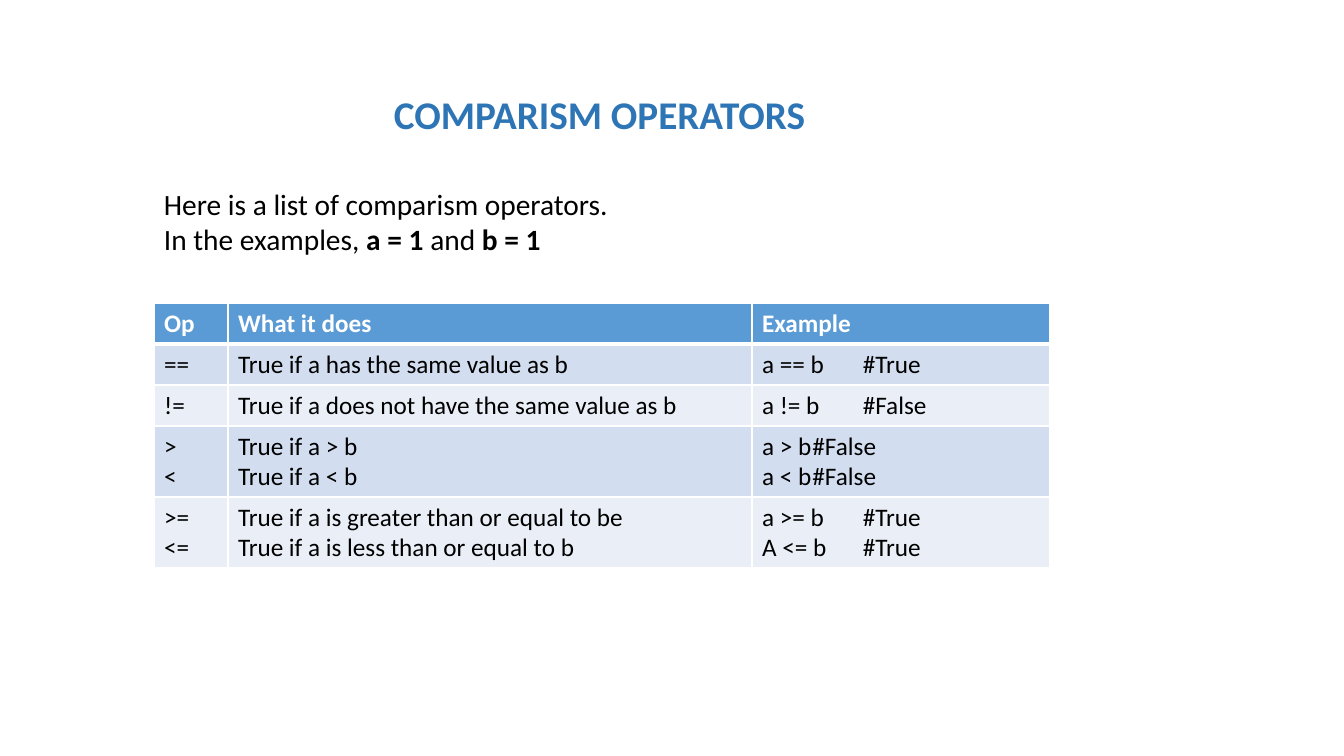
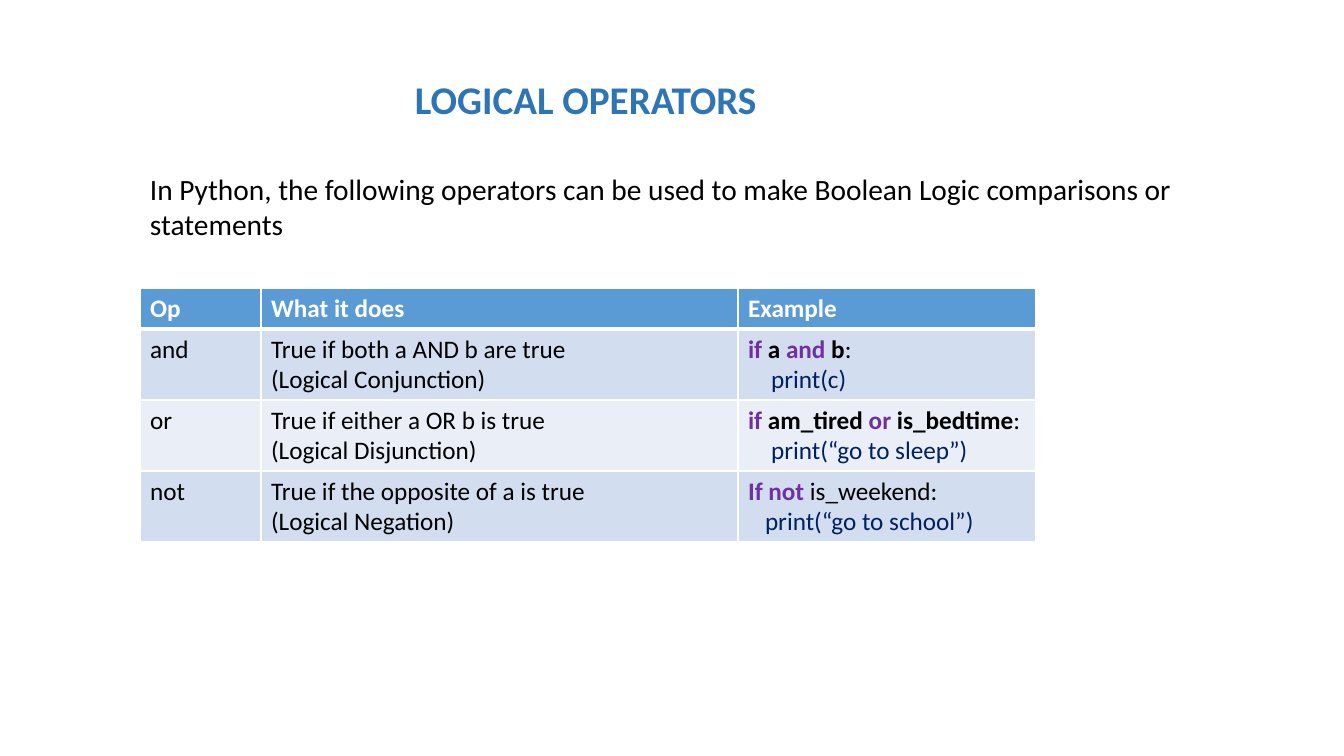
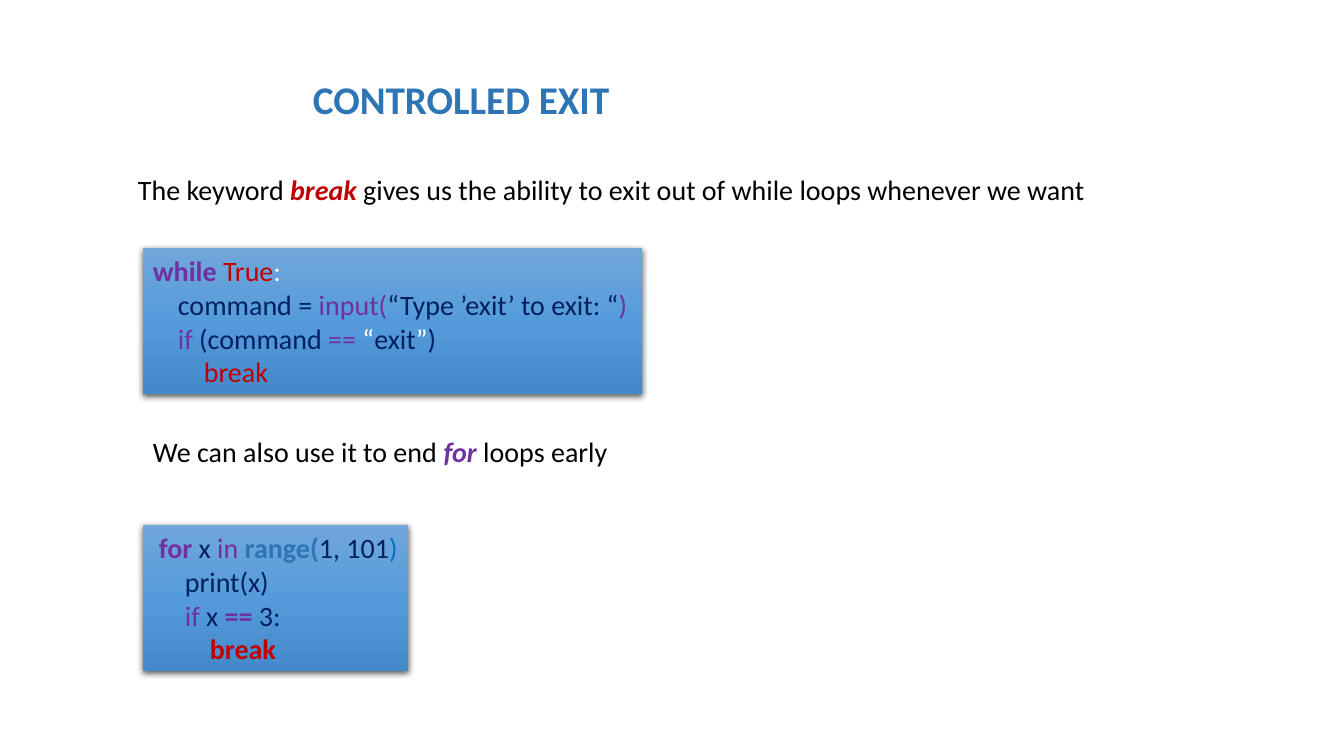
import dataclasses

import copy
import pptx
import pptx.dml.color
import pptx.enum.shapes
import pptx.enum.text
import pptx.oxml
import pptx.oxml.ns
import pptx.util
from lxml import etree

RGBColor = pptx.dml.color.RGBColor
qn = pptx.oxml.ns.qn

EMU_PER_INCH = 914400
PX_PER_INCH = 100.8
FONT = "Calibri"
TITLE_HEIGHT = 57
ROW_HEIGHT = 41
EXTRA_LINE_HEIGHT = 30

BLACK = RGBColor(0x00, 0x00, 0x00)
WHITE = RGBColor(0xFF, 0xFF, 0xFF)
TITLE_BLUE = RGBColor(0x2E, 0x75, 0xB6)
HEADER_BLUE = RGBColor(0x5B, 0x9B, 0xD5)
BAND_DARK = RGBColor(0xD2, 0xDE, 0xEF)
BAND_LIGHT = RGBColor(0xEA, 0xEF, 0xF7)
PURPLE = RGBColor(0x70, 0x30, 0xA0)
NAVY = RGBColor(0x00, 0x20, 0x60)
RED = RGBColor(0xC0, 0x00, 0x00)
BRIGHT_BLUE = RGBColor(0x00, 0x70, 0xC0)
CODE_GRADIENT = [
    (0, RGBColor(0x71, 0xA6, 0xDB)),
    (0.5, RGBColor(0x55, 0x9B, 0xDB)),
    (1, RGBColor(0x44, 0x8A, 0xCA)),
]


@dataclasses.dataclass
class Run:
    text: str
    color: RGBColor = None
    bold: bool = False
    italic: bool = False


@dataclasses.dataclass
class Line:
    """One paragraph; indent and tab stop are in px."""
    runs: list
    indent: int = 0
    tab: int = 0


def px(length):
    return pptx.util.Emu(round(length * EMU_PER_INCH / PX_PER_INCH))


def write_text(text_frame, lines, size, color=BLACK, bold=False):
    """Fill a frame with lines, each a string or a Line of strings and Runs."""
    for index, line in enumerate(lines):
        if isinstance(line, str):
            line = Line([line])
        paragraph = text_frame.paragraphs[0] if index == 0 else text_frame.add_paragraph()
        properties = paragraph._p.get_or_add_pPr()
        properties.set("marL", str(px(line.indent)))
        properties.set("indent", "0")
        if line.tab:
            tab_list = etree.SubElement(properties, qn("a:tabLst"))
            etree.SubElement(tab_list, qn("a:tab"), pos=str(px(line.tab)), algn="l")
        for part in line.runs:
            if isinstance(part, str):
                part = Run(part, bold=bold)
            run = paragraph.add_run()
            run.text = part.text
            run.font.name = FONT
            run.font.size = pptx.util.Pt(size)
            run.font.bold = part.bold
            run.font.italic = part.italic
            run.font.color.rgb = color if part.color is None else part.color


def fit_to_text(text_frame, wrap=False):
    text_frame.word_wrap = wrap
    text_frame.auto_size = pptx.enum.text.MSO_AUTO_SIZE.SHAPE_TO_FIT_TEXT


def add_text(slide, box, lines, wrap=False, **text_format):
    text_frame = slide.shapes.add_textbox(*map(px, box)).text_frame
    fit_to_text(text_frame, wrap)
    write_text(text_frame, lines, **text_format)


def add_titled_slide(presentation, title, left, top, width):
    slide = presentation.slides.add_slide(presentation.slide_layouts[6])
    add_text(slide, (left, top, width, TITLE_HEIGHT), [title],
             size=28, color=TITLE_BLUE, bold=True)
    return slide


def set_cell_borders(cell, top, bottom):
    """Draw white borders; top and bottom widths are in points."""
    properties = cell._tc.get_or_add_tcPr()
    for side, width in (("L", 1), ("R", 1), ("T", top), ("B", bottom)):
        line = etree.SubElement(properties, qn(f"a:ln{side}"), w=str(pptx.util.Pt(width)))
        fill = etree.SubElement(line, qn("a:solidFill"))
        etree.SubElement(fill, qn("a:srgbClr"), val=str(WHITE))


def add_operator_table(slide, left, top, column_widths, body_rows):
    rows = [[["Op"], ["What it does"], ["Example"]]] + body_rows
    heights = [ROW_HEIGHT + EXTRA_LINE_HEIGHT * (len(row[0 if len(row[0]) > 1 else 1]) - 1)
               for row in rows]
    table = slide.shapes.add_table(
        len(rows), len(column_widths), px(left), px(top),
        px(sum(column_widths)), px(sum(heights))).table
    for column, width in zip(table.columns, column_widths):
        column.width = px(width)
    for row_index, (row, height) in enumerate(zip(rows, heights)):
        table.rows[row_index].height = px(height)
        header = row_index == 0
        band = BAND_DARK if row_index % 2 else BAND_LIGHT
        for column_index, lines in enumerate(row):
            cell = table.cell(row_index, column_index)
            set_cell_borders(cell, top=3 if row_index == 1 else 1, bottom=3 if header else 1)
            cell.fill.solid()
            cell.fill.fore_color.rgb = HEADER_BLUE if header else band
            write_text(cell.text_frame, lines, size=18,
                       color=WHITE if header else BLACK, bold=header)


def add_code_box(slide, box, lines):
    shape = slide.shapes.add_shape(
        pptx.enum.shapes.MSO_SHAPE.RECTANGLE, *map(px, box))
    shape.line.fill.background()
    shape.fill.gradient()
    shape.fill.gradient_angle = 270
    stop_list = shape._element.spPr.find(".//" + qn("a:gsLst"))
    stop_list.append(copy.deepcopy(stop_list[0]))
    for stop, (position, color) in zip(shape.fill.gradient_stops, CODE_GRADIENT):
        stop.position = position
        stop.color.rgb = color
    add_shadow(shape)
    fit_to_text(shape.text_frame)
    write_text(shape.text_frame, lines, size=20, color=WHITE)
    for paragraph in shape.text_frame.paragraphs:
        paragraph.alignment = pptx.enum.text.PP_ALIGN.LEFT


def add_shadow(shape):
    shape.shadow.inherit = False
    effects = shape._element.spPr.find(qn("a:effectLst"))
    shadow = etree.SubElement(
        effects, qn("a:outerShdw"), blurRad=str(pptx.util.Pt(4.5)),
        dist=str(pptx.util.Pt(1.5)), dir="5400000", algn="ctr", rotWithShape="0")
    color = etree.SubElement(shadow, qn("a:srgbClr"), val=str(BLACK))
    etree.SubElement(color, qn("a:alpha"), val="63000")


def keyword(text):
    return Run(text, PURPLE, bold=True)


def add_comparison_slide(presentation):
    slide = add_titled_slide(presentation, "COMPARISM OPERATORS", 384, 85, 436)
    add_text(slide, (154, 181, 470, 82), [
        "Here is a list of comparism operators.",
        Line(["In the examples, ", Run("a = 1 ", bold=True), "and ", Run("b = 1", bold=True)]),
    ], size=21)
    add_operator_table(slide, 154, 303, [74, 524, 298], [
        [["=="], ["True if a has the same value as b"], [Line(["a == b\t#True"], tab=73)]],
        [["!="], ["True if a does not have the same value as b"],
         [Line(["a != b\t#False"], tab=74)]],
        [[">", "<"], ["True if a > b", "True if a < b"],
         [Line(["a > b\t#False"], tab=66), Line(["a < b\t#False"], tab=72)]],
        [[">=", "<="],
         ["True if a is greater than or equal to be", "True if a is less than or equal to b"],
         [Line(["a >= b\t#True"], tab=79), Line(["A <= b\t#True"], tab=81)]],
    ])


def add_logical_slide(presentation):
    slide = add_titled_slide(presentation, "LOGICAL OPERATORS", 405, 70, 366)
    add_text(slide, (140, 166, 1094, 82), [
        "In Python, the following operators can be used to make Boolean Logic "
        "comparisons or statements"], wrap=True, size=21)
    add_operator_table(slide, 140, 288, [121, 477, 298], [
        [["and"], ["True if both a AND b are true", "(Logical Conjunction)"],
         [Line([keyword("if "), Run("a ", bold=True), keyword("and "),
                Run("b", bold=True), ":"]),
          Line([Run("print(c)", NAVY)], indent=23)]],
        [["or"], ["True if either a OR b is true", "(Logical Disjunction)"],
         [Line([keyword("if "), Run("am_tired ", bold=True), keyword("or "),
                Run("is_bedtime", bold=True), ":"]),
          Line([Run("print(“go to sleep”)", NAVY)], indent=23)]],
        [["not"], ["True if the opposite of a is true", "(Logical Negation)"],
         [Line([keyword("If not"), " is_weekend:"]),
          Line([Run("print(“go to school”)", NAVY)], indent=17)]],
    ])


def add_exit_slide(presentation):
    slide = add_titled_slide(presentation, "CONTROLLED EXIT", 303, 70, 321)
    add_text(slide, (128, 168, 982, 44), [Line([
        "The keyword ", Run("break ", RED, bold=True, italic=True),
        "gives us the ability to exit out of while loops whenever we want"])], size=20)
    add_code_box(slide, (143, 248, 499, 146), [
        Line([keyword("while "), Run("True", RED), ":"]),
        Line([Run("command = ", NAVY), Run("input(", PURPLE),
              Run("“Type ’exit’ to exit: “", NAVY), Run(")", PURPLE)], indent=25),
        Line([Run("if ", PURPLE), Run("(command ", NAVY), Run("==", PURPLE), " “",
              Run("exit", NAVY), "”", Run(")", NAVY)], indent=25),
        Line([Run("break", RED)], indent=51),
    ])
    add_text(slide, (143, 430, 478, 44), [Line([
        "We can also use it to end ", Run("for", PURPLE, bold=True, italic=True),
        " loops early"])], size=20)
    add_code_box(slide, (143, 525, 265, 146), [
        Line([keyword("for "), Run("x ", NAVY), Run("in ", PURPLE),
              Run("range(", TITLE_BLUE, bold=True), Run("1, 101", NAVY),
              Run(")", BRIGHT_BLUE)], indent=6),
        Line([Run("print(x)", NAVY)], indent=32),
        Line([Run("if ", PURPLE), Run("x ", NAVY), keyword("== "), Run("3:", NAVY)], indent=32),
        Line([Run("break", RED, bold=True)], indent=57),
    ])


def main():
    presentation = pptx.Presentation()
    presentation.slide_width = px(1344)
    presentation.slide_height = px(756)
    add_comparison_slide(presentation)
    add_logical_slide(presentation)
    add_exit_slide(presentation)
    presentation.save("out.pptx")


if __name__ == "__main__":
    main()
